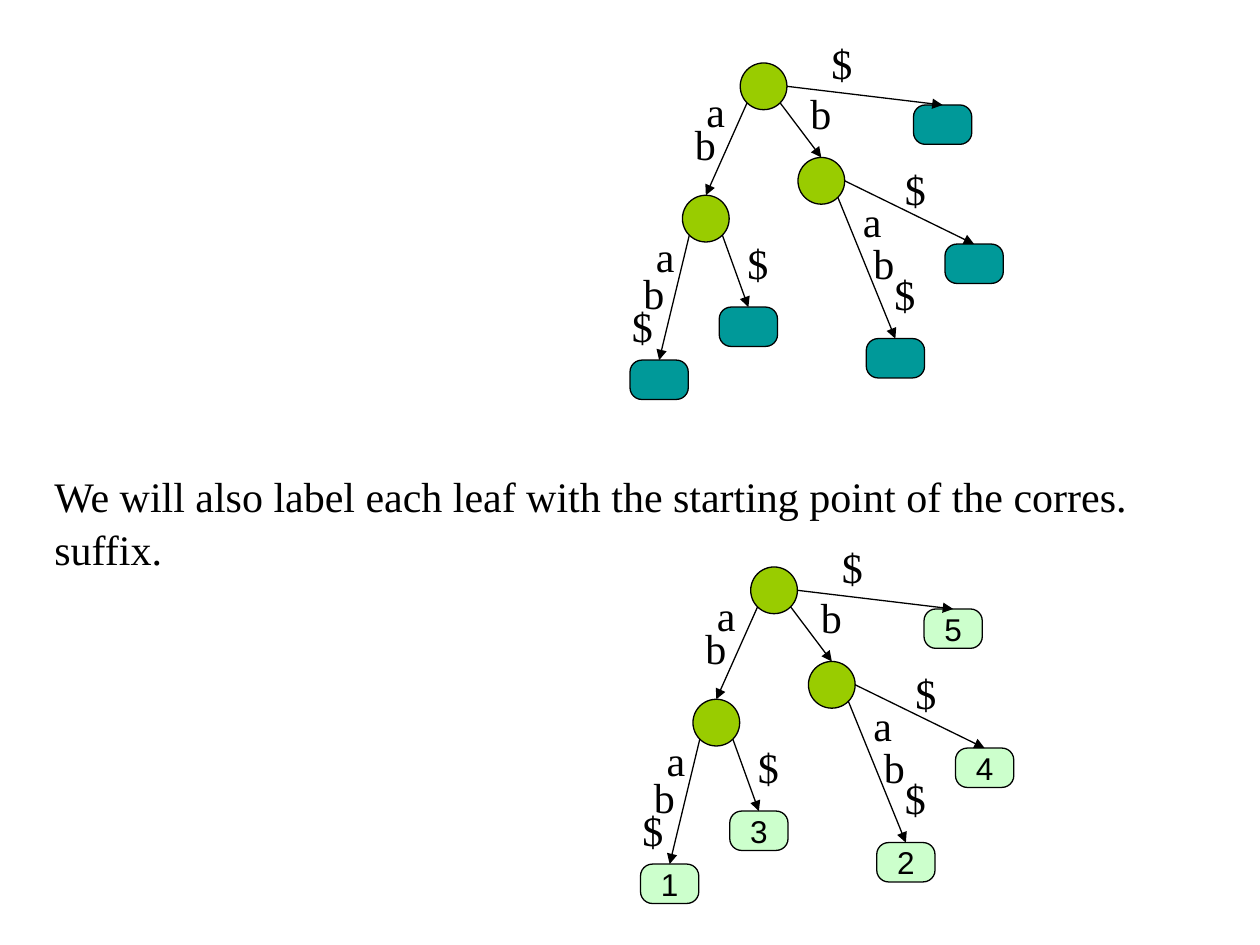
from math import cos, pi, sin
from typing import NamedTuple

from pptx import Presentation
from pptx.dml.color import RGBColor
from pptx.enum.shapes import MSO_CONNECTOR, MSO_SHAPE
from pptx.enum.text import MSO_ANCHOR, PP_ALIGN
from pptx.oxml.ns import qn
from pptx.util import Inches, Pt
from lxml.etree import SubElement

# Square grid: 120 columns by 90 rows
CELL = Inches(10) / 120
CIRCLE = 4.45
LEAF_WIDTH, LEAF_HEIGHT = 5.55, 3.75
LABEL_WIDTH, LABEL_HEIGHT = 5, 6

BLACK = RGBColor(0x00, 0x00, 0x00)
LIME = RGBColor(0x99, 0xCC, 0x00)
TEAL = RGBColor(0x00, 0x99, 0x99)
PALE_GREEN = RGBColor(0xCC, 0xFF, 0xCC)

# Directions in which an edge leaves a circle
RIGHT, LOWER_RIGHT, LOWER_LEFT = 0, pi / 4, 3 * pi / 4


class Node(NamedTuple):
    name: str
    column: float
    row: float
    is_leaf: bool = True


class Edge(NamedTuple):
    start: str
    direction: float
    end: str


class Label(NamedTuple):
    text: str
    column: float
    row: float


NODES = {node.name: node for node in (
    Node("root", 70.5, 6, False),
    Node("ab", 65, 18.6, False),
    Node("b", 76, 15, False),
    Node("1", 60, 34.3),
    Node("2", 82.5, 32.25),
    Node("3", 68.5, 29.25),
    Node("4", 90, 23.25),
    Node("5", 87, 10),
)}
EDGES = (
    Edge("root", LOWER_LEFT, "ab"),
    Edge("root", LOWER_RIGHT, "b"),
    Edge("root", RIGHT, "5"),
    Edge("ab", LOWER_LEFT, "1"),
    Edge("ab", LOWER_RIGHT, "3"),
    Edge("b", LOWER_RIGHT, "2"),
    Edge("b", RIGHT, "4"),
)
LABELS = (
    Label("a", 66.1, 7.55), Label("b", 65, 10.7),
    Label("b", 76, 7.7), Label("$", 78, 3),
    Label("a", 61.3, 21.4), Label("b", 60.1, 24.85), Label("$", 59, 28),
    Label("$", 70, 22),
    Label("a", 81, 18), Label("b", 82, 22), Label("$", 84, 25),
    Label("$", 85, 15),
)


def grid(*cells: float) -> list[int]:
    return [round(cell * CELL) for cell in cells]


def write(shape, text: str, *, size: float = 24, font: str = "Times New Roman",
          align=PP_ALIGN.LEFT, anchor=MSO_ANCHOR.TOP, wrap: bool = True,
          line_spacing: float = 1.0) -> None:
    frame = shape.text_frame
    frame.word_wrap = wrap
    frame.vertical_anchor = anchor
    paragraph = frame.paragraphs[0]
    paragraph.alignment = align
    paragraph.line_spacing = line_spacing
    run = paragraph.add_run()
    run.text = text
    run.font.size = Pt(size)
    run.font.name = font
    run.font.color.rgb = BLACK


def add_node(slide, node: Node, column: float, row: float,
             leaf_fill: RGBColor, numbered: bool):
    kind = MSO_SHAPE.ROUNDED_RECTANGLE if node.is_leaf else MSO_SHAPE.OVAL
    size = (LEAF_WIDTH, LEAF_HEIGHT) if node.is_leaf else (CIRCLE, CIRCLE)
    shape = slide.shapes.add_shape(
        kind, *grid(column + node.column, row + node.row, *size))
    shape.shadow.inherit = False
    shape.fill.solid()
    shape.fill.fore_color.rgb = leaf_fill if node.is_leaf else LIME
    shape.line.color.rgb = BLACK
    shape.line.width = Pt(0.75)
    if node.is_leaf:
        shape.adjustments[0] = 0.3
        if numbered:
            write(shape, node.name, size=18, font="Arial", wrap=False,
                  align=PP_ALIGN.CENTER, anchor=MSO_ANCHOR.MIDDLE)
    return shape


def add_edge(slide, start, direction: float, end) -> None:
    radius = start.width / 2
    begin_x = round(start.left + radius * (1 + cos(direction)))
    begin_y = round(start.top + radius * (1 + sin(direction)))
    connector = slide.shapes.add_connector(
        MSO_CONNECTOR.STRAIGHT, begin_x, begin_y,
        end.left + end.width // 2, end.top)
    connector.end_connect(end, 0)
    connector.line.color.rgb = BLACK
    connector.line.width = Pt(0.75)
    properties = connector._element.spPr
    SubElement(properties.find(qn("a:ln")), qn("a:tailEnd"), type="triangle")
    SubElement(properties, qn("a:effectLst"))


def add_tree(slide, column: float, row: float, leaf_fill: RGBColor,
             numbered: bool) -> None:
    shapes = {name: add_node(slide, node, column, row, leaf_fill, numbered)
              for name, node in NODES.items()}
    for edge in EDGES:
        add_edge(slide, shapes[edge.start], edge.direction, shapes[edge.end])
    for label in LABELS:
        box = slide.shapes.add_textbox(*grid(
            column + label.column, row + label.row, LABEL_WIDTH, LABEL_HEIGHT))
        write(box, label.text)


def main() -> None:
    presentation = Presentation()
    presentation.slide_width = Inches(10)
    presentation.slide_height = Inches(7.5)
    slide = presentation.slides.add_slide(presentation.slide_layouts[6])

    # Sentence between the trees
    sentence = slide.shapes.add_textbox(*grid(4, 44, 113, 10.8))
    write(sentence, "We will also label each leaf with the starting point "
                    "of the corres. suffix.", line_spacing=1.05)

    # Plain suffix tree, then the same tree with numbered leaves
    add_tree(slide, 0, 0, TEAL, numbered=False)
    add_tree(slide, 1, 48, PALE_GREEN, numbered=True)

    presentation.save("out.pptx")


if __name__ == "__main__":
    main()
